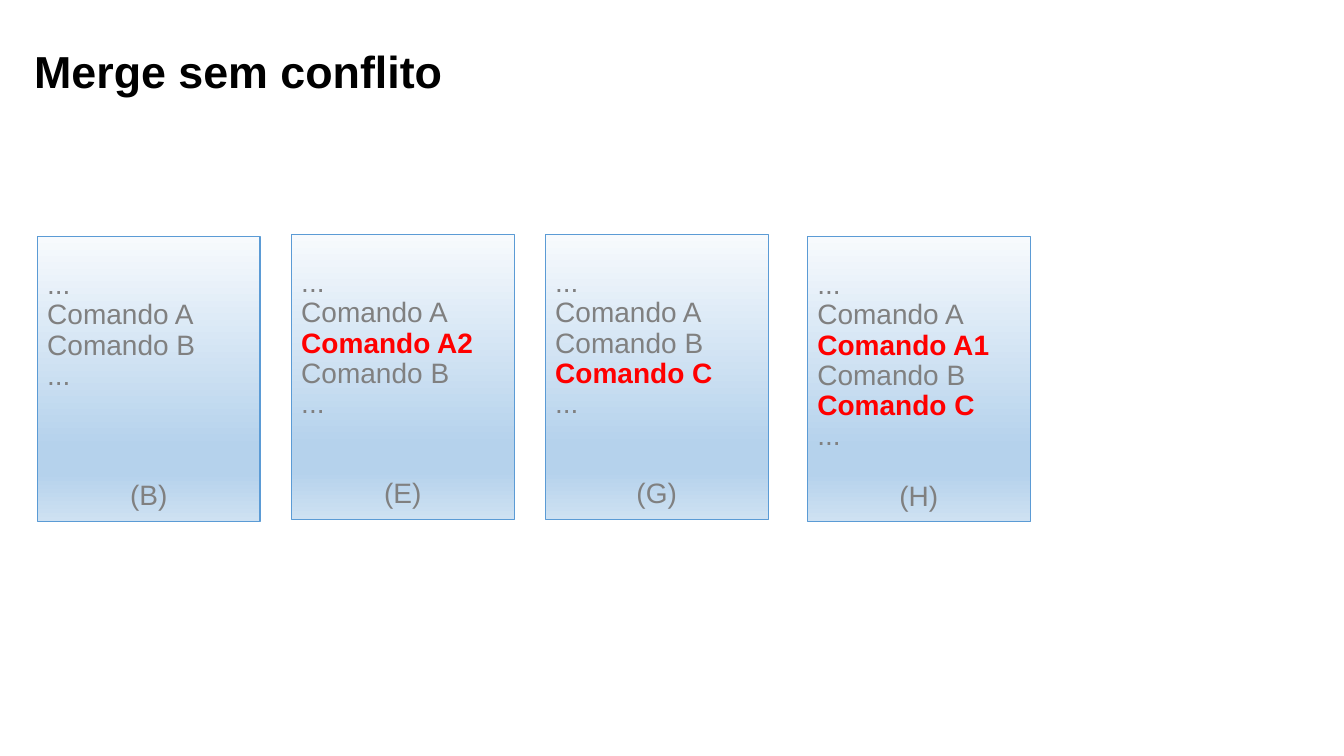
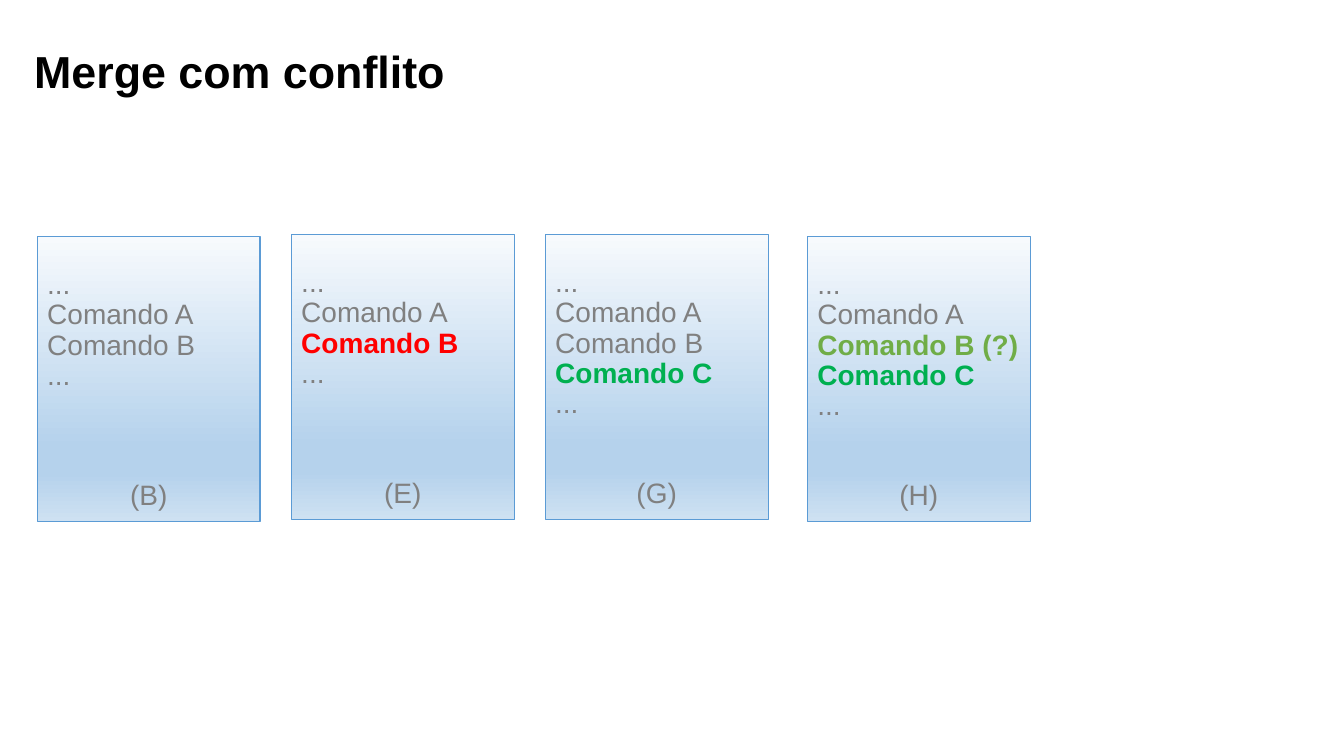
from pptx import Presentation
from pptx.dml.color import RGBColor
from pptx.enum.shapes import MSO_SHAPE
from pptx.enum.text import MSO_ANCHOR, PP_ALIGN
from pptx.oxml import parse_xml
from pptx.oxml.ns import nsdecls
from pptx.util import Pt

# Shared style
FONT = "Arial"
BLACK = RGBColor(0x00, 0x00, 0x00)
GREY = RGBColor(0x80, 0x80, 0x80)
RED = RGBColor(0xFF, 0x00, 0x00)
GREEN = RGBColor(0x00, 0xB0, 0x50)
OLIVE = RGBColor(0x70, 0xAD, 0x47)
BORDER = RGBColor(0x5B, 0x9B, 0xD5)
PALE = RGBColor(0xF7, 0xFA, 0xFD)
BLUE = RGBColor(0xB5, 0xD2, 0xEC)
LIGHT = RGBColor(0xCE, 0xE1, 0xF2)
GRADIENT = [(0, PALE), (74, BLUE), (83, BLUE), (100, LIGHT)]

# Version cards: label, left, top
CARDS = [("(B)", 26.64, 169.2), ("(E)", 208.08, 167.76),
         ("(G)", 389.52, 167.76), ("(H)", 576.72, 169.2)]
CARD_WIDTH, CARD_HEIGHT = 159.12, 203.04
LINE_PITCH = 21.4
LABEL_ROW = 7

# Each version lists its commands; a colour marks a changed one
A, B = ("Comando A", GREY), ("Comando B", GREY)
MERGES = [
    ("Merge sem conflito", [
        [A, B],
        [A, ("Comando A2", RED), B],
        [A, B, ("Comando C", RED)],
        [A, ("Comando A1", RED), B, ("Comando C", RED)],
    ]),
    ("Merge com conflito", [
        [A, B],
        [A, ("Comando B", RED)],
        [A, B, ("Comando C", GREEN)],
        [A, ("Comando B (?)", OLIVE), ("Comando C", GREEN)],
    ]),
]


def add_run(paragraph, text, size, color, bold):
    run = paragraph.add_run()
    run.text = text
    run.font.name = FONT
    run.font.size = Pt(size)
    run.font.bold = bold
    run.font.color.rgb = color


def add_card(slide, label, left, top, commands):
    card = slide.shapes.add_shape(MSO_SHAPE.RECTANGLE, Pt(left), Pt(top),
                                  Pt(CARD_WIDTH), Pt(CARD_HEIGHT))
    card.shadow.inherit = False
    card.line.color.rgb = BORDER
    card.line.width = Pt(0.75)

    # Four-stop vertical gradient
    card.fill.gradient()
    card.fill.gradient_angle = 270
    stops = card.element.spPr.find(".//{*}gsLst")
    stops.clear()
    for position, color in GRADIENT:
        stops.append(parse_xml(
            f'<a:gs {nsdecls("a")} pos="{position * 1000}">'
            f'<a:srgbClr val="{color}"/></a:gs>'))

    # Commands between ellipses, then the version label
    frame = card.text_frame
    frame.word_wrap = True
    frame.vertical_anchor = MSO_ANCHOR.TOP
    frame.margin_top = Pt(24)
    lines = [("...", GREY), *commands, ("...", GREY)]
    for row, (text, color) in enumerate(lines + [(label, GREY)]):
        paragraph = frame.add_paragraph() if row else frame.paragraphs[0]
        paragraph.alignment = PP_ALIGN.LEFT
        paragraph.line_spacing = 0.9
        add_run(paragraph, text, 20, color, color != GREY)
    paragraph.alignment = PP_ALIGN.CENTER
    paragraph.space_before = Pt((LABEL_ROW - len(lines)) * LINE_PITCH)


deck = Presentation()
deck.slide_width, deck.slide_height = Pt(960), Pt(540)

for heading, versions in MERGES:
    slide = deck.slides.add_slide(deck.slide_layouts[6])

    # Title
    title = slide.shapes.add_textbox(Pt(17.28), Pt(-1.44), Pt(828), Pt(104.4))
    title.text_frame.word_wrap = True
    title.text_frame.vertical_anchor = MSO_ANCHOR.MIDDLE
    add_run(title.text_frame.paragraphs[0], heading, 32, BLACK, True)

    # Cards
    for (label, left, top), commands in zip(CARDS, versions):
        add_card(slide, label, left, top, commands)

deck.save("out.pptx")
